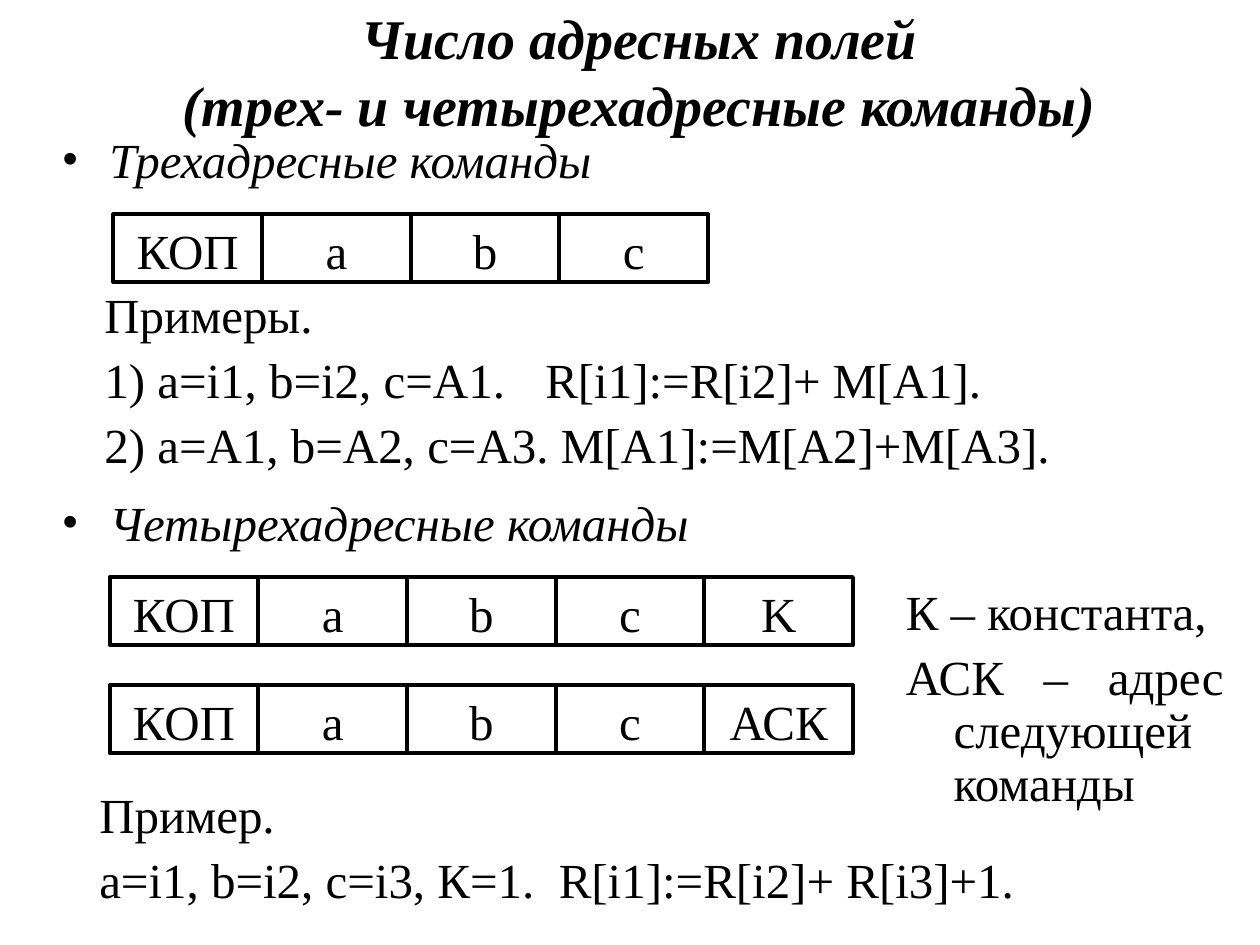
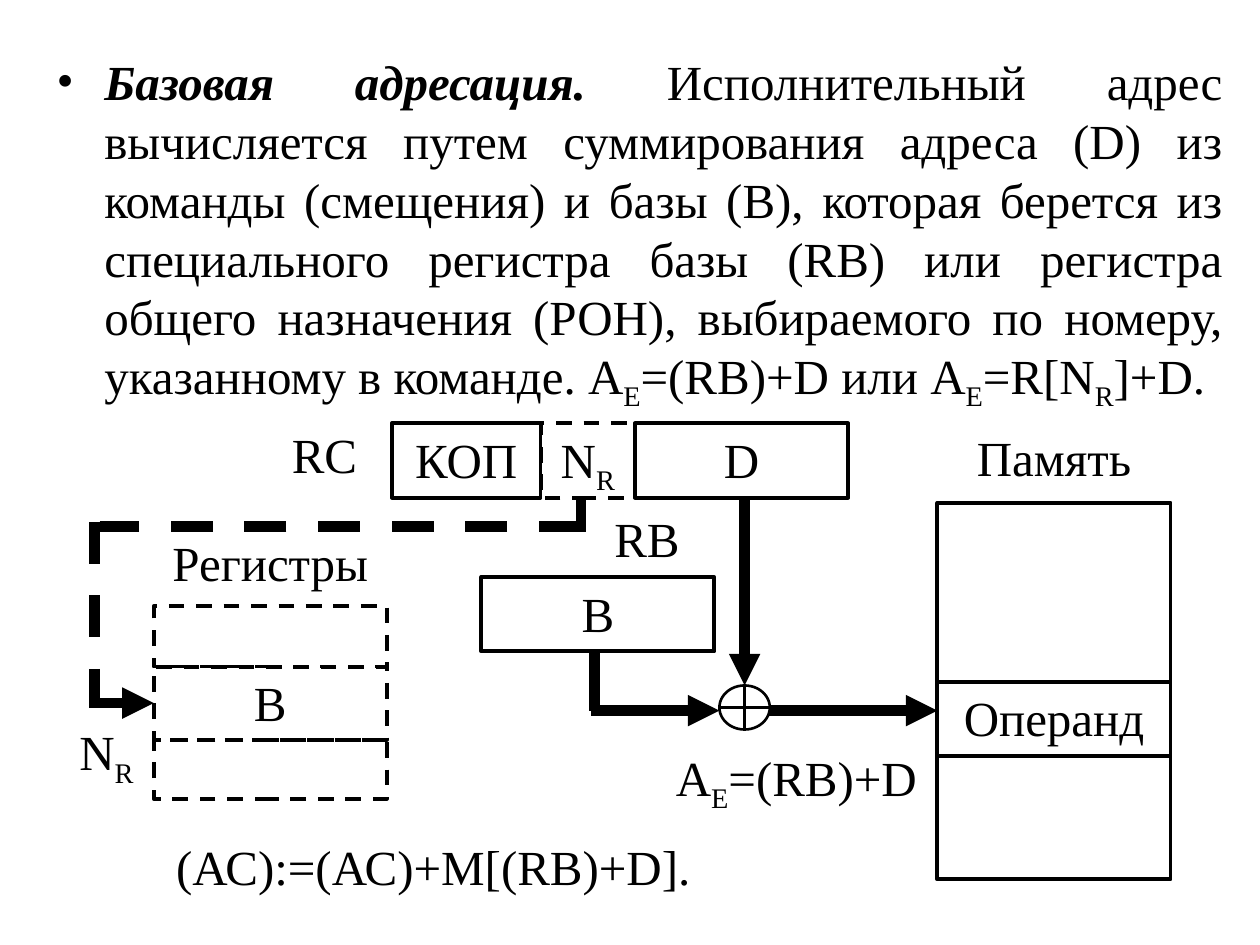
from lxml import etree
from pptx import Presentation
from pptx.dml.color import RGBColor
from pptx.enum.dml import MSO_LINE
from pptx.enum.shapes import MSO_CONNECTOR, MSO_SHAPE
from pptx.enum.text import MSO_ANCHOR, MSO_AUTO_SIZE, PP_ALIGN
from pptx.oxml.ns import qn
from pptx.util import Pt

PX = 9144  # EMU per px, 100 px to the inch
FONT, INK, PAPER = "Times New Roman", "000000", "FFFFFF"
RECT, ADDER = MSO_SHAPE.RECTANGLE, MSO_SHAPE.FLOWCHART_OR
LEFT, CENTER, JUSTIFY = PP_ALIGN.LEFT, PP_ALIGN.CENTER, PP_ALIGN.JUSTIFY
TOP, MIDDLE = MSO_ANCHOR.TOP, MSO_ANCHOR.MIDDLE
DASH, STRAIGHT = MSO_LINE.DASH, MSO_CONNECTOR.STRAIGHT
INDENT, TAB = 38, 400
TITLE_ONLY, BLANK = 5, 6

# Text between underscores is a subscript.
TITLE = ["Число адресных полей", "(трех- и четырехадресные команды)"]
HEADINGS = [
    ("Четырехадресные команды", (39, 391, 610, 57)),
    ("Трехадресные команды", (39, 103, 610, 57)),
]
CELL_WIDTH, CELL_HEIGHT = 118, 54
COMMAND_FORMATS = [  # left, top, fields
    (87, 458, ["КОП", "а", "b", "c", "K"]),
    (87, 544, ["КОП", "а", "b", "c", "АСК"]),
    (90, 170, ["КОП", "а", "b", "c"]),
]
LEGEND = ["К – константа,", "АСК – адрес следующей команды"]
EXAMPLES = [
    (["Примеры.",
      "1) a=i1, b=i2, c=А1.\tR[i1]:=R[i2]+ М[А1].",
      "2) a=А1, b=А2, c=А3. М[А1]:=М[А2]+М[А3]."], (35, 226, 917, 161)),
    (["Пример.",
      "a=i1, b=i2, c=i3, К=1.  R[i1]:=R[i2]+ R[i3]+1."], (31, 623, 965, 122)),
]

BASE_TERM = "Базовая адресация."
BASE_DEFINITION = (
    " Исполнительный адрес вычисляется путем суммирования адреса (D) из команды "
    "(смещения) и базы (B), которая берется из специального регистра базы (RB) "
    "или регистра общего назначения (РОН), выбираемого по номеру, указанному в "
    "команде. А_Е_=(RB)+D или А_Е_=R[N_R_]+D."
)
LABELS = [
    ("Память", (744, 334, 185, 59)),
    ("N_R_", (47, 568, 75, 59)),
    ("Регистры", (122, 418, 185, 59)),
    ("А_Е_=(RB)+D", (512, 588, 240, 59)),
    ("RB", (476, 399, 75, 59)),
    ("RC", (220, 332, 75, 59)),
]
RESULT = "(АС):=(АС)+М[(RB)+D]."
COMMAND_FIELDS = [("КОП", 118, None), ("N_R_", 75, DASH), ("D", 169, None)]
MEMORY_CELLS = [("", 142, None), ("Операнд", 59, None), ("", 98, None)]
REGISTER_CELLS = [("", 48, DASH), ("B", 58, DASH), ("", 47, DASH)]
WIRES = [  # start, end, dash, arrow
    ((472, 517), (472, 564), None, False),
    ((469, 564), (571, 564), None, True),
    ((610, 564), (744, 564), None, True),
    ((461, 422), (461, 395), DASH, False),
    ((461, 418), (79, 418), DASH, False),
    ((75, 414), (75, 558), DASH, False),
]


def color(hex_text):
    return RGBColor.from_string(hex_text)


def place(at):
    return [round(value * PX) for value in at]


def write(para, text, size=28, bold=False, italic=False):
    for index, part in enumerate(text.split("_")):
        if not part:
            continue
        span = para.add_run()
        span.text = part
        span.font.name, span.font.size = FONT, Pt(size)
        span.font.bold, span.font.italic = bold, italic
        span.font.color.rgb = color(INK)
        if index % 2:
            span._r.get_or_add_rPr().set("baseline", "-25000")


def fill_frame(frame, lines, align=CENTER, anchor=TOP, **style):
    """Write one paragraph per line and return the paragraphs."""
    frame.word_wrap = True
    frame.auto_size = MSO_AUTO_SIZE.NONE
    frame.vertical_anchor = anchor
    paras = []
    for index, line in enumerate(lines):
        para = frame.add_paragraph() if index else frame.paragraphs[0]
        para.alignment = align
        write(para, line, **style)
        paras.append(para)
    return paras


def add_text(page, lines, at, **style):
    return fill_frame(page.shapes.add_textbox(*place(at)).text_frame, lines, **style)


def format_body(para, margin=INDENT, hanging=0, bullet=False, spacing=0.9):
    para.space_before = Pt(7)
    para.line_spacing = spacing
    props = para._p.get_or_add_pPr()
    props.set("marL", str(margin * PX))
    props.set("indent", str(-hanging * PX))
    if bullet:
        bullet_color = etree.SubElement(props, qn("a:buClr"))
        etree.SubElement(bullet_color, qn("a:srgbClr"), val=INK)
        etree.SubElement(props, qn("a:buFont"), typeface=FONT)
        etree.SubElement(props, qn("a:buChar"), char="•")
    tabs = etree.SubElement(props, qn("a:tabLst"))
    etree.SubElement(tabs, qn("a:tab"), pos=str(TAB * PX), algn="l")


def add_body(page, lines, at, italic=False, **layout):
    paras = add_text(page, lines, at, align=JUSTIFY, italic=italic)
    for para in paras:
        format_body(para, **layout)
    return paras


def add_outline(page, at, text="", kind=RECT, dash=None, weight=2.25):
    box = page.shapes.add_shape(kind, *place(at))
    box.shadow.inherit = False
    box.fill.background()
    box.line.color.rgb = color(INK)
    box.line.width = Pt(weight)
    if dash:
        box.line.dash_style = dash
    if text:
        fill_frame(box.text_frame, [text])
    return box


def add_row(page, left, top, height, cells):
    boxes = []
    for text, width, dash in cells:
        boxes.append(add_outline(page, (left, top, width, height), text, dash=dash))
        left += width
    return boxes


def add_column(page, left, top, width, cells):
    boxes = []
    for text, height, dash in cells:
        boxes.append(add_outline(page, (left, top, width, height), text, dash=dash))
        top += height
    return boxes


def add_wire(page, start, end, dash=None, arrow=False):
    wire = page.shapes.add_connector(STRAIGHT, *place(start + end))
    wire.line.color.rgb = color(INK)
    wire.line.width = Pt(6)
    if dash:
        wire.line.dash_style = dash
    if arrow:
        etree.SubElement(wire.line._get_or_add_ln(), qn("a:tailEnd"), type="triangle")
    etree.SubElement(wire._element.spPr, qn("a:effectLst"))
    return wire


def add_page(deck, layout):
    page = deck.slides.add_slide(deck.slide_layouts[layout])
    page.background.fill.solid()
    page.background.fill.fore_color.rgb = color(PAPER)
    return page


def build_address_fields(deck):
    page = add_page(deck, TITLE_ONLY)
    title = page.shapes.title
    title.left, title.top, title.width, title.height = place((31, 1, 953, 110))
    fill_frame(title.text_frame, TITLE, anchor=MIDDLE, size=32, bold=True, italic=True)
    for heading, at in HEADINGS:
        add_body(page, [heading], at, italic=True, hanging=INDENT, bullet=True)
    for left, top, fields in COMMAND_FORMATS:
        cells = [(field, CELL_WIDTH, None) for field in fields]
        add_row(page, left, top, CELL_HEIGHT, cells)
    add_body(page, LEGEND, (709, 462, 272, 189), hanging=INDENT)
    for lines, at in EXAMPLES:
        add_body(page, lines, at)


def build_base_addressing(deck):
    page = add_page(deck, BLANK)
    definition = add_body(page, [""], (35, 36, 945, 291),
                          hanging=INDENT, bullet=True, spacing=1.0)[0]
    write(definition, BASE_TERM, bold=True, italic=True)
    write(definition, BASE_DEFINITION)
    for text, at in LABELS:
        add_text(page, [text], at)
    add_text(page, [RESULT], (130, 659, 591, 57), align=LEFT)

    add_row(page, 311, 336, 59, COMMAND_FIELDS)
    add_column(page, 744, 399, 185, MEMORY_CELLS)
    registers = add_column(page, 122, 481, 185, REGISTER_CELLS)
    add_outline(page, (382, 458, 185, 59), "В")
    adder = add_outline(page, (571, 544, 40, 35), kind=ADDER, weight=1.5)

    for start, end, dash, arrow in WIRES:
        add_wire(page, start, end, dash, arrow)
    add_wire(page, (591, 395), (591, 544), arrow=True).end_connect(adder, 0)
    to_register = add_wire(page, (71, 558), (122, 558), DASH, arrow=True)
    to_register.end_connect(registers[1], 1)


def main():
    deck = Presentation()
    deck.slide_width, deck.slide_height = place((1000, 750))
    build_address_fields(deck)
    build_base_addressing(deck)
    deck.save("out.pptx")


if __name__ == "__main__":
    main()
